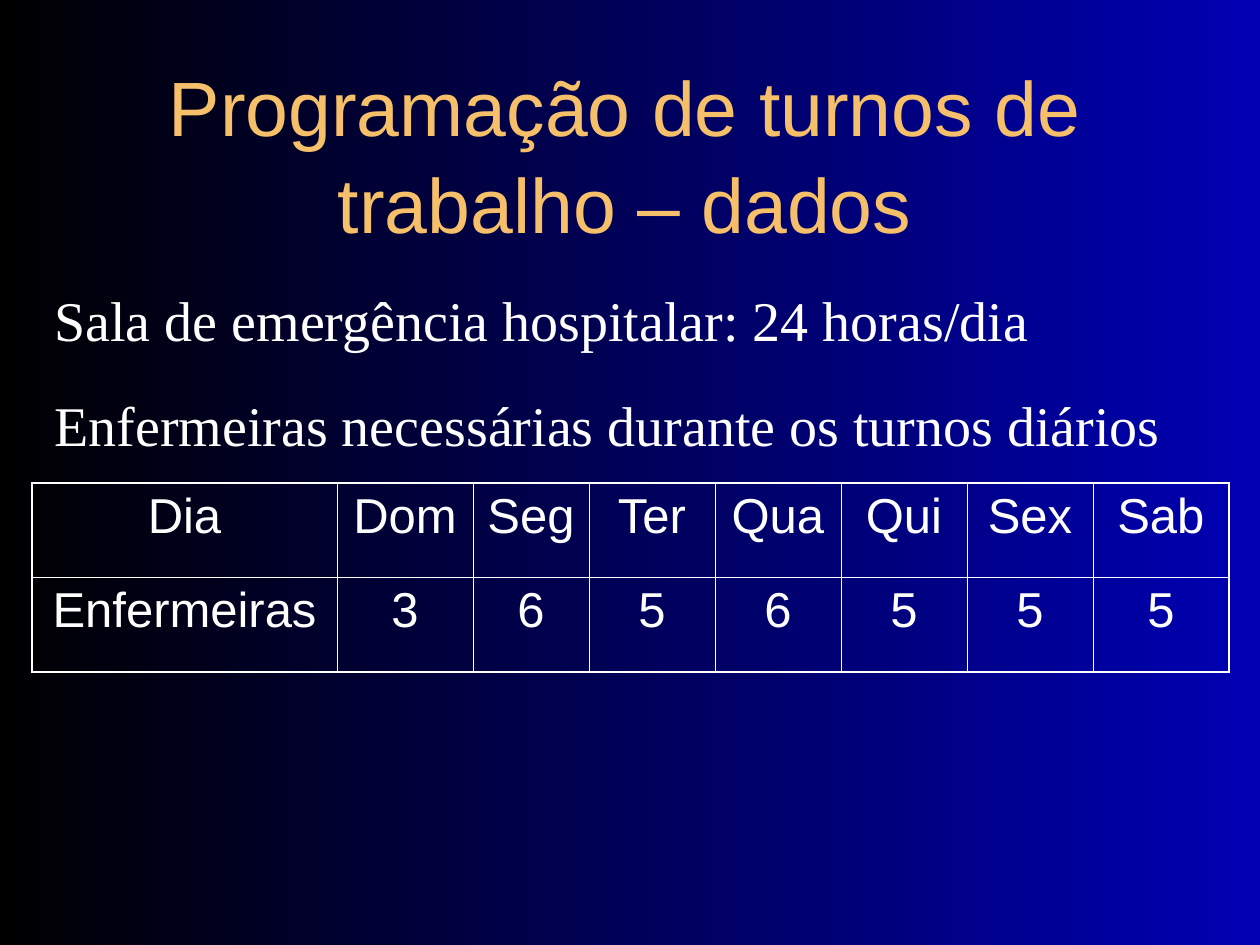
from dataclasses import dataclass

from lxml import etree
from pptx import Presentation
from pptx.dml.color import RGBColor
from pptx.enum.text import MSO_ANCHOR, MSO_AUTO_SIZE, PP_ALIGN
from pptx.oxml.ns import qn
from pptx.util import Emu, Pt

PX_PER_INCH = 126
CENTER, LEFT = PP_ALIGN.CENTER, PP_ALIGN.LEFT
MIDDLE, TOP = MSO_ANCHOR.MIDDLE, MSO_ANCHOR.TOP
NO_AUTOFIT = MSO_AUTO_SIZE.NONE

BLACK = RGBColor(0x00, 0x00, 0x00)
BLUE = RGBColor(0x00, 0x00, 0xB2)
GOLD = RGBColor(0xF6, 0xBF, 0x69)
WHITE = RGBColor(0xFF, 0xFF, 0xFF)

OUTER_PT, INNER_PT = 1.08, 0.45
COL_WIDTHS = [305, 136, 116, 126, 126, 126, 126, 136]
ROW_HEIGHTS = [94, 95]
SHIFTS = [
    ["Dia", "Dom", "Seg", "Ter", "Qua", "Qui", "Sex", "Sab"],
    ["Enfermeiras", "3", "6", "5", "6", "5", "5", "5"],
]


@dataclass
class Box:
    x: int
    y: int
    w: int
    h: int

    def emu(self) -> tuple:
        return px(self.x), px(self.y), px(self.w), px(self.h)


@dataclass
class Style:
    font: str
    size: int
    color: RGBColor
    align: int
    spacing: float = 1.0


TITLE = Style("Arial", 44, GOLD, CENTER, 1.05)
BODY = Style("Times New Roman", 32, WHITE, LEFT, 1.05)
CELL = Style("Arial", 28, WHITE, CENTER)


def px(n: int) -> Emu:
    return Emu(round(n * 914400 / PX_PER_INCH))


def write(tf, lines: list[str], style: Style, gap: int = 0) -> None:
    """Fill a text frame with one paragraph per line."""
    for i, line in enumerate(lines):
        p = tf.add_paragraph() if i else tf.paragraphs[0]
        p.alignment = style.align
        p.line_spacing = style.spacing
        if i:
            p.space_before = Pt(gap)
        r = p.add_run()
        r.text = line
        r.font.name = style.font
        r.font.size = Pt(style.size)
        r.font.color.rgb = style.color


def add_border(cell, side: str, width: float) -> None:
    ln = etree.SubElement(cell._tc.get_or_add_tcPr(), qn(f"a:ln{side}"),
                          w=str(Pt(width)))
    fill = etree.SubElement(ln, qn("a:solidFill"))
    etree.SubElement(fill, qn("a:srgbClr"), val=str(WHITE))


def add_shift_table(s, box: Box) -> None:
    last_row, last_col = len(ROW_HEIGHTS) - 1, len(COL_WIDTHS) - 1
    table = s.shapes.add_table(last_row + 1, last_col + 1, *box.emu()).table
    table.first_row = table.horz_banding = False
    for col, width in zip(table.columns, COL_WIDTHS):
        col.width = px(width)
    for row, height in zip(table.rows, ROW_HEIGHTS):
        row.height = px(height)
    for i, values in enumerate(SHIFTS):
        for j, value in enumerate(values):
            cell = table.cell(i, j)
            write(cell.text_frame, [value], CELL)
            # Thicker lines around the outside of the grid
            outer = {"L": j == 0, "R": j == last_col,
                     "T": i == 0, "B": i == last_row}
            for side, is_outer in outer.items():
                add_border(cell, side, OUTER_PT if is_outer else INNER_PT)
            cell.fill.background()


def main() -> None:
    prs = Presentation()
    prs.slide_width, prs.slide_height = px(1260), px(945)
    s = prs.slides.add_slide(prs.slide_layouts[5])

    # Background gradient, left to right
    fill = s.background.fill
    fill.gradient()
    fill.gradient_angle = 0
    for stop, color in zip(fill.gradient_stops, (BLACK, BLUE)):
        stop.color.rgb = color

    # Title
    sp = s.shapes.title
    sp.left, sp.top, sp.width, sp.height = Box(42, 73, 1166, 158).emu()
    tf = sp.text_frame
    tf.auto_size = NO_AUTOFIT
    tf.vertical_anchor = MIDDLE
    write(tf, ["Programação de turnos de trabalho – dados"], TITLE)

    # Nurses needed per day
    add_shift_table(s, Box(32, 483, sum(COL_WIDTHS), sum(ROW_HEIGHTS)))

    # Description
    tf = s.shapes.add_textbox(*Box(42, 273, 1218, 183).emu()).text_frame
    tf.word_wrap = True
    tf.auto_size = NO_AUTOFIT
    tf.vertical_anchor = TOP
    tf.margin_top = px(9)
    write(tf, ["Sala de emergência hospitalar: 24 horas/dia",
               "Enfermeiras necessárias durante os turnos diários"], BODY, gap=20)

    prs.save("out.pptx")


if __name__ == "__main__":
    main()
